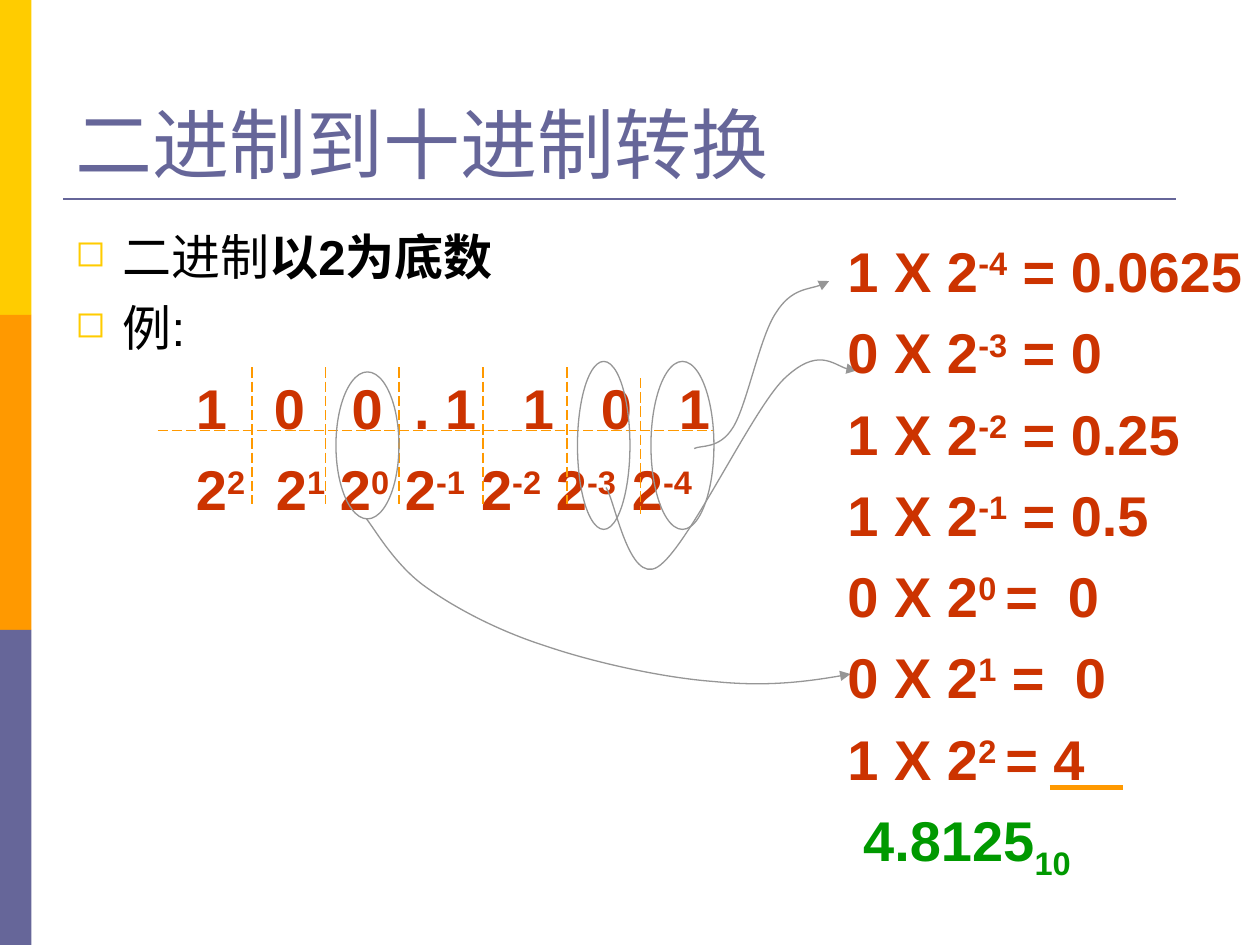
import dataclasses
import itertools

import pptx
import pptx.dml.color
import pptx.enum.dml
import pptx.enum.shapes
import pptx.enum.text
import pptx.oxml
import pptx.oxml.ns
import pptx.util

Pt = pptx.util.Pt
SHAPE = pptx.enum.shapes.MSO_SHAPE
qn = pptx.oxml.ns.qn


@dataclasses.dataclass(frozen=True)
class Theme:
    yellow: str = "FFCC00"
    orange: str = "FF9900"
    violet: str = "666699"
    gray: str = "969696"
    black: str = "000000"
    red: str = "CC3300"
    green: str = "009900"
    sans: str = "Arial"
    serif: str = "Times New Roman"
    title: int = 44
    body: int = 28
    math: int = 32
    thin: float = 0.75
    rule: float = 1.5
    sum: float = 3


THEME = Theme()


def rgb(code):
    return pptx.dml.color.RGBColor.from_string(code)


def add_xml(parent, tag, **attrs):
    child = pptx.oxml.parse_xml(f"<a:{tag} {pptx.oxml.ns.nsdecls('a')}/>")
    for name, value in attrs.items():
        child.set(name, str(value))
    parent.append(child)
    return child


def add_bar(slide, top, color):
    bar = slide.shapes.add_shape(SHAPE.RECTANGLE, 0, Pt(top), Pt(18), Pt(180))
    bar.shadow.inherit = False
    bar.fill.solid()
    bar.fill.fore_color.rgb = rgb(color)
    bar.line.fill.background()


def add_line(slide, ends, color, width, dash=None):
    line = slide.shapes.add_connector(
        pptx.enum.shapes.MSO_CONNECTOR.STRAIGHT, *map(Pt, ends))
    line.line.color.rgb = rgb(color)
    line.line.width = Pt(width)
    line.line.dash_style = dash
    add_xml(line.element.spPr, "effectLst")


def outline(shape):
    shape.shadow.inherit = False
    shape.fill.background()
    shape.line.color.rgb = rgb(THEME.gray)
    shape.line.width = Pt(THEME.thin)


def add_ring(slide, *box):
    outline(slide.shapes.add_shape(SHAPE.OVAL, *map(Pt, box)))


def add_curve(slide, points):
    """Draw a Bezier arrow: a start, then three points for each segment."""
    spots = [(Pt(x), Pt(y)) for x, y in points]
    draft = slide.shapes.build_freeform(*spots[0])
    draft.add_line_segments(spots[1:], close=False)
    curve = draft.convert_to_shape()
    outline(curve)
    steps = list(curve.element.iter(qn("a:lnTo")))
    for first in range(0, len(steps), 3):
        trio = steps[first:first + 3]
        bend = add_xml(trio[0].getparent(), "cubicBezTo")
        for step in trio:
            bend.append(step[0])
            step.getparent().remove(step)
    add_xml(curve.line._get_or_add_ln(), "tailEnd", type="triangle")


def add_box(slide, box, left=7.2, anchor="TOP"):
    frame = slide.shapes.add_textbox(*map(Pt, box)).text_frame
    formats = {
        "word_wrap": True,
        "margin_left": Pt(left),
        "vertical_anchor": getattr(pptx.enum.text.MSO_ANCHOR, anchor),
    }
    for name, value in formats.items():
        setattr(frame, name, value)
    return frame


def add_par(frame, before=0, left=0, bullet=None, tabs=()):
    par = frame.paragraphs[0]
    if par.runs:
        par = frame.add_paragraph()
    par.space_before = Pt(before)
    props = par._p.get_or_add_pPr()
    props.set("marL", str(Pt(left)))
    if bullet:
        props.set("indent", str(-Pt(left)))
        add_xml(add_xml(props, "buClr"), "srgbClr", val=THEME.yellow)
        add_xml(props, "buSzPct", val=75000)
        add_xml(props, "buChar", char=bullet)
    if tabs:
        stops = add_xml(props, "tabLst")
        for stop in tabs:
            add_xml(stops, "tab", pos=Pt(stop), algn="l")
    return par


def add_run(par, text, size, color, font=THEME.sans, bold=False, shift=0):
    run = par.add_run()
    run.text = text
    formats = {"size": Pt(size), "name": font, "bold": bold}
    for name, value in formats.items():
        setattr(run.font, name, value)
    run.font.color.rgb = rgb(color)
    if shift:
        run._r.get_or_add_rPr().set("baseline", str(shift * 1000))


def add_math(par, text, color=THEME.red, shift=0):
    add_run(par, text, THEME.math, color, bold=True, shift=shift)


def add_frame(slide):
    for top, color in zip((0, 180, 360), (THEME.yellow, THEME.orange, THEME.violet)):
        add_bar(slide, top, color)
    add_line(slide, (36, 113.76, 672, 113.76), THEME.violet, THEME.rule)
    title = add_par(add_box(slide, (36, 21.6, 648, 90), anchor="BOTTOM"))
    add_run(title, "二进制到十进制转换", THEME.title, THEME.violet, THEME.serif)


def add_body(slide):
    frame = add_box(slide, (36, 126, 648, 356.4))
    for runs in ([("二进制", False), ("以2为底数", True)], [("例:", False)]):
        par = add_par(frame, before=7, left=27, bullet="◻")
        for text, bold in runs:
            add_run(par, text, THEME.body, THEME.black, bold=bold)


def add_digits(slide):
    frame = add_box(slide, (60, 210, 504, 114), left=52)
    tabs = [44.5, 89, 124.6, 142.4, 186.9, 231.4, 275.9]
    add_math(add_par(frame, before=8, tabs=tabs), "1\t0\t0\t.\t1\t1\t0\t1")
    par = add_par(frame, before=8, tabs=[45.7, 82.3, 119.4, 162.9, 205.7, 249.1])
    for power in range(2, -5, -1):
        add_math(par, "2" if power == 2 else "\t2")
        add_math(par, str(power), shift=30)


def add_marks(slide):
    dash = pptx.enum.dml.MSO_LINE.LONG_DASH
    add_line(slide, (90, 246, 408, 246), THEME.orange, THEME.thin, dash)
    for x, top in zip((144, 186, 228, 276, 324, 366), (210,) * 5 + (216,)):
        add_line(slide, (x, top, x, top + 78), THEME.orange, THEME.thin, dash)
    for ring in ((372, 206.5, 36, 96), (330, 206.5, 30, 96), (192, 212.5, 36, 84)):
        add_ring(slide, *ring)
    curves = (
        [(396.7, 256.3), (400.3, 254.2), (411.1, 257), (419, 244.1),
         (427, 231.1), (434.2, 192.2), (443.5, 178.6),
         (452.2, 164.9), (468, 164.9), (473.8, 160.6)],
        [(346.3, 278.6), (351.4, 285.8), (359.3, 334.1), (375.8, 324),
         (393.1, 313.2), (429.1, 235.4), (447.8, 216.7),
         (467.3, 198), (481, 212.4), (489.6, 211.7)],
        [(209.5, 296.6), (214.6, 303.1), (226.1, 323.3), (243.4, 335.5),
         (260.6, 347.8), (285.1, 360.7), (312.5, 369.4),
         (339.8, 378.7), (379.4, 387.4), (408.2, 389.5),
         (437, 392.4), (463, 389.5), (486, 385.2)],
    )
    for points in curves:
        add_curve(slide, points)


def add_sums(slide):
    frame = add_box(slide, (450, 131.76, 300, 372), left=34.2)
    ends = (" = 0.0625", " = 0", " = 0.25", " = 0.5", " =\t0", " =\t0", " = 4")
    stops = {0: [126], 1: [130]}
    for bit, power, end in zip("1011001", itertools.count(-4), ends):
        par = add_par(frame, before=8, tabs=stops.get(power, ()))
        add_math(par, f"{bit} X 2")
        # The gap after the powers 0 and 2 is a raised, narrower space.
        tight = power in (0, 2)
        add_math(par, f"{power} " if tight else str(power), shift=30)
        add_math(par, end.lstrip() if tight else end)
    total = add_par(frame, before=8, left=9)
    add_math(total, "4.8125", THEME.green)
    add_math(total, "10", THEME.green, shift=-25)
    add_line(slide, (600, 450, 642, 450), THEME.orange, THEME.sum)


def main():
    deck = pptx.Presentation()
    deck.slide_width, deck.slide_height = Pt(720), Pt(540)
    slide = deck.slides.add_slide(deck.slide_layouts[6])
    for part in (add_frame, add_body, add_digits, add_marks, add_sums):
        part(slide)
    deck.save("out.pptx")


if __name__ == "__main__":
    main()
